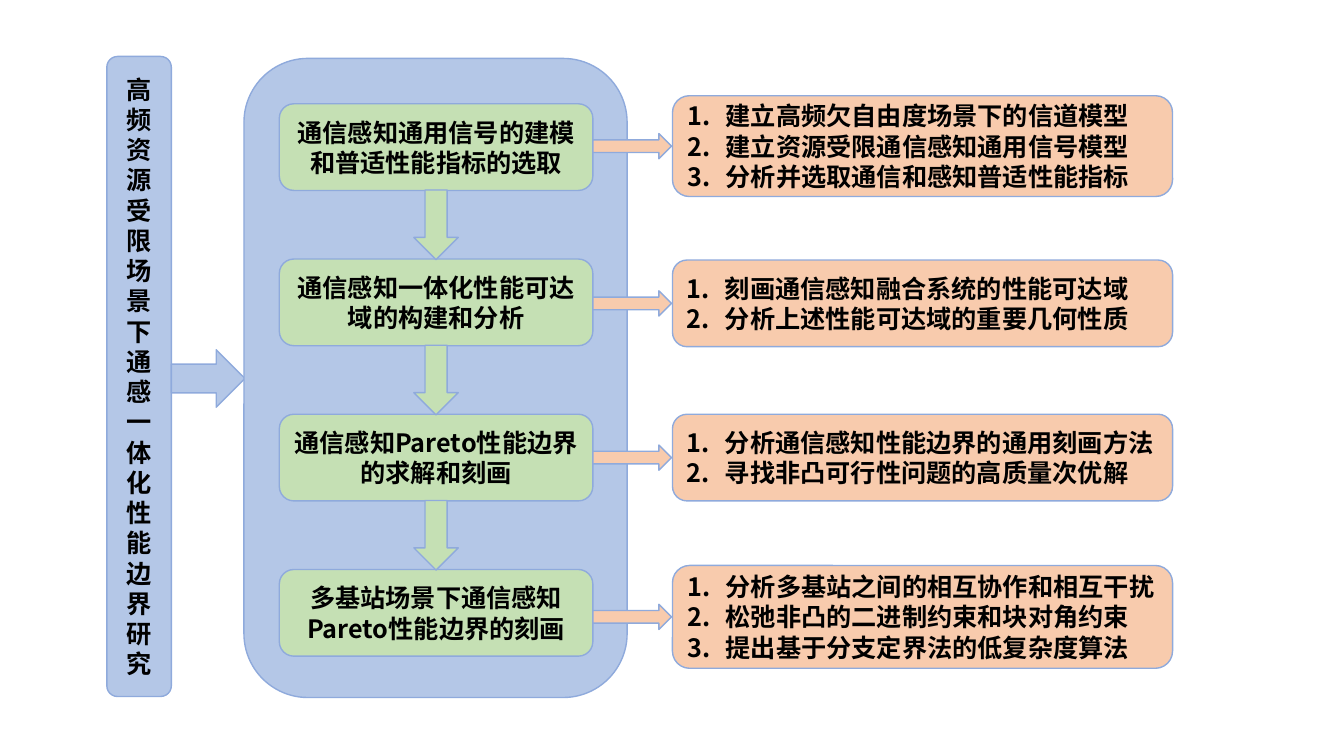
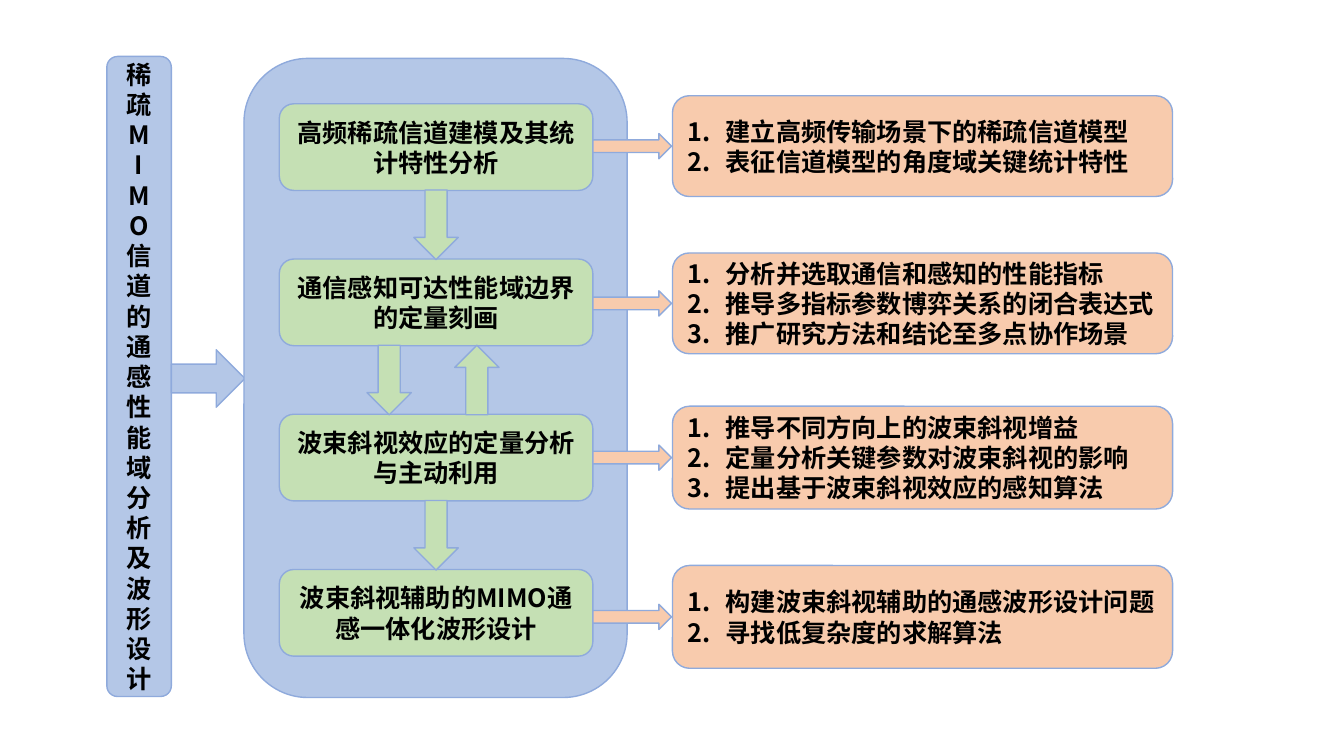
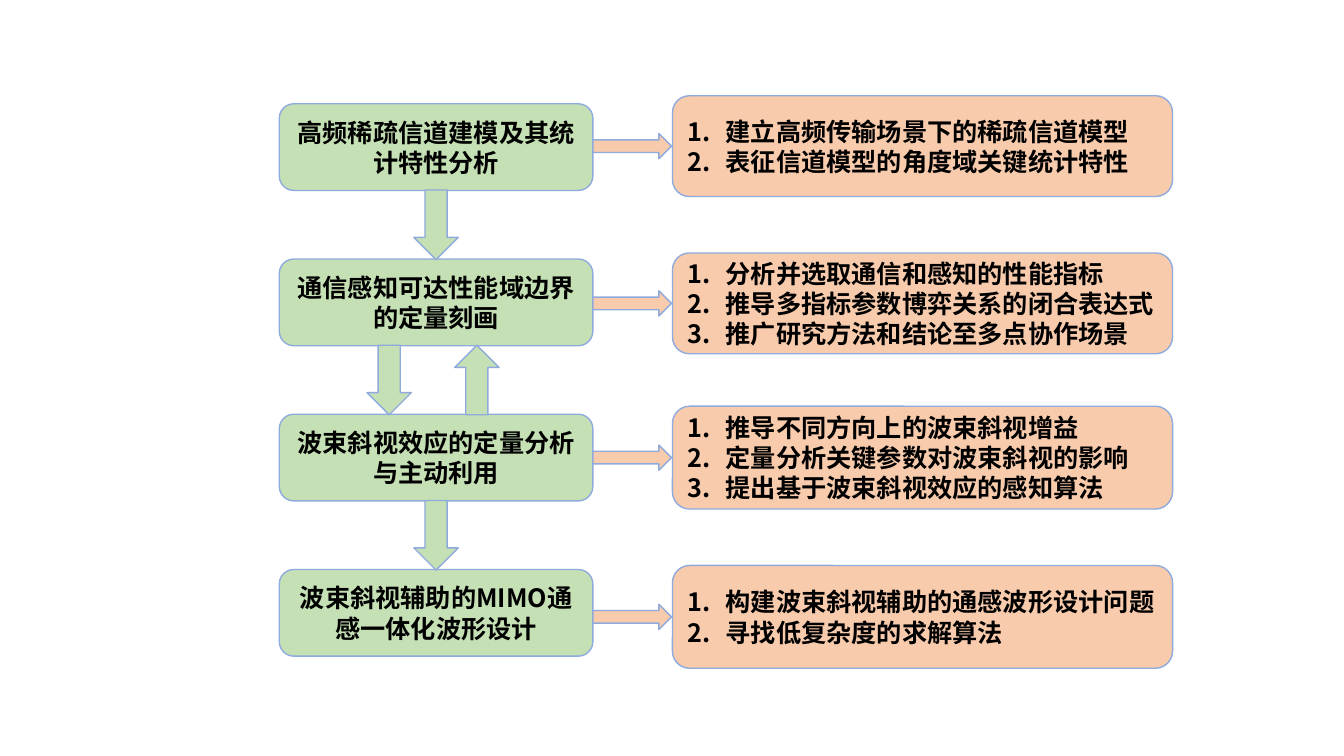
from pptx import Presentation
from pptx.dml.color import RGBColor
from pptx.enum.shapes import MSO_SHAPE
from pptx.enum.text import MSO_ANCHOR, PP_ALIGN
from pptx.oxml.ns import qn
from pptx.util import Inches, Pt

ROUNDED = MSO_SHAPE.ROUNDED_RECTANGLE
PROCESS = MSO_SHAPE.FLOWCHART_ALTERNATE_PROCESS
ARROW = MSO_SHAPE.RIGHT_ARROW
MIDDLE = MSO_ANCHOR.MIDDLE
CENTER, LEFT = PP_ALIGN.CENTER, PP_ALIGN.LEFT

COLORS = {"topic": "B4C7E7", "step": "C5E0B4", "detail": "F8CBAD",
          "line": "8FAADC", "text": "000000"}
FONT = "Noto Sans CJK SC"

# Shared layout, in inches
STEP_LEFT, STEP_TOP, STEP_W, STEP_H, STEP_PITCH = 2.77, 1.03, 3.11, 0.86, 1.54
STEP_MID = STEP_LEFT + STEP_W / 2
DOWN, UP = 90, 270
FLOW_W, FLOW_H = 0.69, 0.44
DETAIL_LEFT, DETAIL_W = 6.67, 4.96
DETAIL_MIDS = [1.45, 3.01, 4.54, 6.12]
LINK_LEFT, LINK_W, LINK_H = 5.88, 0.78, 0.25

# Each step: text, height of its detail box, numbered details
BOUNDARY_STEPS = [
    ("通信感知通用信号的建模和普适性能指标的选取", 1.0,
     ["建立高频欠自由度场景下的信道模型",
      "建立资源受限通信感知通用信号模型",
      "分析并选取通信和感知普适性能指标"]),
    ("通信感知一体化性能可达域的构建和分析", 0.86,
     ["刻画通信感知融合系统的性能可达域",
      "分析上述性能可达域的重要几何性质"]),
    ("通信感知Pareto性能边界的求解和刻画", 0.86,
     ["分析通信感知性能边界的通用刻画方法",
      "寻找非凸可行性问题的高质量次优解"]),
    ("多基站场景下通信感知Pareto性能边界的刻画", 1.02,
     ["分析多基站之间的相互协作和相互干扰",
      "松弛非凸的二进制约束和块对角约束",
      "提出基于分支定界法的低复杂度算法"]),
]
WAVEFORM_STEPS = [
    ("高频稀疏信道建模及其统计特性分析", 1.0,
     ["建立高频传输场景下的稀疏信道模型",
      "表征信道模型的角度域关键统计特性"]),
    ("通信感知可达性能域边界的定量刻画", 1.0,
     ["分析并选取通信和感知的性能指标",
      "推导多指标参数博弈关系的闭合表达式",
      "推广研究方法和结论至多点协作场景"]),
    ("波束斜视效应的定量分析与主动利用", 1.02,
     ["推导不同方向上的波束斜视增益",
      "定量分析关键参数对波束斜视的影响",
      "提出基于波束斜视效应的感知算法"]),
    ("波束斜视辅助的MIMO通感一体化波形设计", 1.02,
     ["构建波束斜视辅助的通感波形设计问题",
      "寻找低复杂度的求解算法"]),
]

# Arrows between steps: (horizontal centre, rotation) for each gap
ONE_WAY = [(STEP_MID, DOWN)]
TWO_WAY = [(3.86, DOWN), (4.73, UP)]

SLIDES = [
    (["高频资源受限场景下通感一体化性能边界研究"],
     BOUNDARY_STEPS, [ONE_WAY, ONE_WAY, ONE_WAY]),
    (["稀疏", "M", "I", "M", "O", "信道的通感性能域分析及波形设计"],
     WAVEFORM_STEPS, [ONE_WAY, TWO_WAY, ONE_WAY]),
    ([], WAVEFORM_STEPS, [ONE_WAY, TWO_WAY, ONE_WAY]),
]


def add_block(slide, kind, left, top, width, height, color):
    sp = slide.shapes.add_shape(kind, Inches(left), Inches(top),
                                Inches(width), Inches(height))
    sp.shadow.inherit = False
    sp.fill.solid()
    sp.fill.fore_color.rgb = RGBColor.from_string(COLORS[color])
    sp.line.color.rgb = RGBColor.from_string(COLORS["line"])
    sp.line.width = Pt(1)
    return sp


def set_text(sp, lines, align=CENTER, numbered=False):
    tf = sp.text_frame
    tf.word_wrap = True
    tf.vertical_anchor = MIDDLE
    tf.text = "\n".join(lines)
    for p in tf.paragraphs:
        p.alignment = align
        if numbered:
            pPr = p._p.get_or_add_pPr()
            pPr.set("marL", str(Inches(0.38)))
            pPr.set("indent", str(-Inches(0.38)))
            pPr.makeelement(qn("a:buFont"), {})
            for tag, name, value in (("a:buFont", "typeface", FONT),
                                     ("a:buAutoNum", "type", "arabicPeriod")):
                pPr.append(pPr.makeelement(qn(tag), {name: value}))
        for r in p.runs:
            r.font.size = Pt(18)
            r.font.bold = True
            r.font.color.rgb = RGBColor.from_string(COLORS["text"])
            r.font.name = FONT
            rPr = r._r.get_or_add_rPr()
            rPr.append(rPr.makeelement(qn("a:ea"), {"typeface": FONT}))


prs = Presentation()
prs.slide_width, prs.slide_height = Inches(13.33), Inches(7.5)

for topic, steps, gaps in SLIDES:
    slide = prs.slides.add_slide(prs.slide_layouts[6])

    # Vertical topic bar leading into the panel behind the steps
    if topic:
        set_text(add_block(slide, ROUNDED, 1.06, 0.56, 0.64, 6.35, "topic"), topic)
        add_block(slide, ARROW, 1.7, 3.47, 0.73, 0.57, "topic")
        add_block(slide, ROUNDED, 2.42, 0.58, 3.8, 6.34, "topic")

    # Steps, each linked to its numbered details
    for i, ((step, height, details), mid) in enumerate(zip(steps, DETAIL_MIDS)):
        top = STEP_TOP + i * STEP_PITCH
        sp = add_block(slide, PROCESS, STEP_LEFT, top, STEP_W, STEP_H, "step")
        set_text(sp, [step])
        add_block(slide, ARROW, LINK_LEFT, mid - LINK_H / 2, LINK_W, LINK_H, "detail")
        sp = add_block(slide, PROCESS, DETAIL_LEFT, mid - height / 2,
                       DETAIL_W, height, "detail")
        set_text(sp, details, LEFT, numbered=True)

    # Arrows in the gaps between steps
    for i, arrows in enumerate(gaps):
        mid = STEP_TOP + i * STEP_PITCH + (STEP_H + STEP_PITCH) / 2
        for center, rotation in arrows:
            sp = add_block(slide, ARROW, center - FLOW_W / 2, mid - FLOW_H / 2,
                           FLOW_W, FLOW_H, "step")
            sp.rotation = rotation

prs.save("out.pptx")
